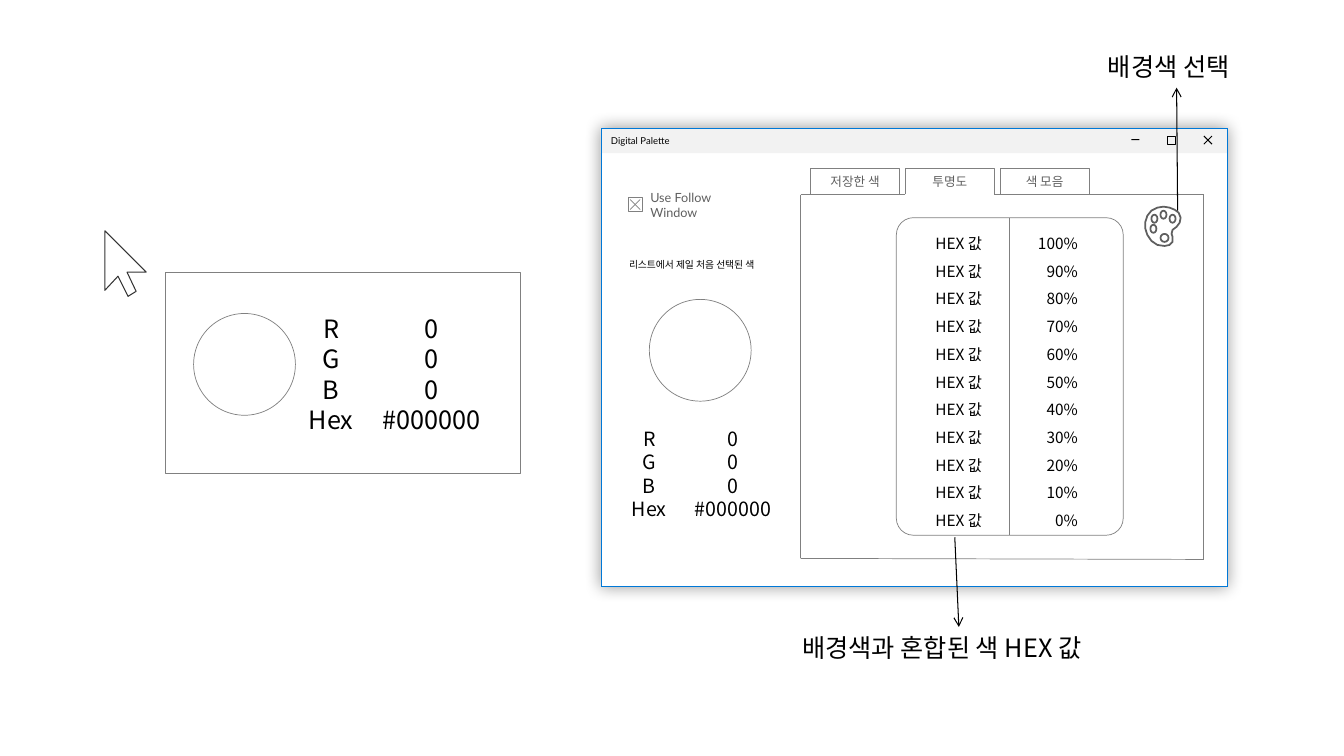
"""Build the Digital Palette wireframe slide with its follow window and main window."""
from lxml import etree
from pptx import Presentation
from pptx.dml.color import RGBColor
from pptx.enum.shapes import MSO_CONNECTOR, MSO_SHAPE as SHAPE
from pptx.enum.text import MSO_ANCHOR as ANCHOR, PP_ALIGN as ALIGN
from pptx.oxml import parse_xml
from pptx.oxml.ns import qn
from pptx.util import Inches, Pt

NOTO, LATO = "Noto Sans CJK KR", "Lato"
BLACK, WHITE, GRAY, DARK, BLUE = "000000", "FFFFFF", "808080", "5F5F5F", "0078D7"
SHADOW = (
    '<a:effectLst xmlns:a="http://schemas.openxmlformats.org/drawingml/2006/main">'
    '<a:outerShdw blurRad="152400" dist="0" dir="0" algn="ctr" rotWithShape="0">'
    '<a:srgbClr val="000000"><a:alpha val="40000"/></a:srgbClr>'
    '</a:outerShdw></a:effectLst>'
)

prs = Presentation()
prs.slide_width, prs.slide_height = Inches(13.33), Inches(7.5)
slide = prs.slides.add_slide(prs.slide_layouts[6])
shapes = slide.shapes


def paint(shape, fill=None, line=GRAY, width=0.5):
    """Give a shape its fill and outline, without a shadow."""
    shape.shadow.inherit = False
    for part, color in ((shape.fill, fill), (shape.line.fill, line)):
        if color:
            part.solid()
            part.fore_color.rgb = RGBColor.from_string(color)
        else:
            part.background()
    if line:
        shape.line.width = Pt(width)
    return shape


def write(shape, lines, size, font=NOTO, color=BLACK, align=ALIGN.LEFT,
          anchor=ANCHOR.TOP, inset=(0.1, 0.05), spacing=1.2):
    """Fill a shape with one paragraph per line."""
    frame = shape.text_frame
    across, down = map(Inches, inset)
    frame_format = {"word_wrap": True, "vertical_anchor": anchor,
                    "margin_left": across, "margin_right": across,
                    "margin_top": down, "margin_bottom": down}
    for name, value in frame_format.items():
        setattr(frame, name, value)
    for index, text in enumerate(lines):
        paragraph = frame.paragraphs[0] if index == 0 else frame.add_paragraph()
        paragraph.alignment = align
        paragraph.line_spacing = Pt(size * spacing)
        paragraph.text = text
        for run in paragraph.runs:
            for name, value in {"size": Pt(size), "name": font}.items():
                setattr(run.font, name, value)
            run.font.color.rgb = RGBColor.from_string(color)
            east_asian = etree.SubElement(run.font._element, qn("a:ea"))
            east_asian.set("typeface", NOTO)


# window frame and title bar
window_box = [Inches(v) for v in (5.96, 1.27, 6.21, 4.55)]
window = paint(shapes.add_shape(SHAPE.RECTANGLE, *window_box), WHITE, BLUE)
window._element.spPr.replace(window._element.spPr.find(qn("a:effectLst")), parse_xml(SHADOW))
title_bar = paint(shapes.add_shape(SHAPE.RECTANGLE, *window_box[:3], Inches(0.25)), "F2F2F2", None)
write(title_bar, ["Digital Palette"], 6.8, LATO, anchor=ANCHOR.MIDDLE)
minimize = [Inches(v) for v in (11.22, 1.38, 0.08, 0.01)]
paint(shapes.add_shape(SHAPE.RECTANGLE, *minimize), BLACK, None)
maximize = [Inches(v) for v in (11.58, 1.35, 0.08, 0.08)]
paint(shapes.add_shape(SHAPE.RECTANGLE, *maximize), None, BLACK, 0.75)
paint(shapes.add_shape(SHAPE.RECTANGLE, *window_box), None, BLUE)

check_box = [Inches(v) for v in (6.23, 1.96, 0.14, 0.14)]
paint(shapes.add_shape(SHAPE.RECTANGLE, *check_box), WHITE)
follow_label = shapes.add_textbox(Inches(6.37), Inches(1.92), Inches(1.26), Inches(0.23))
write(follow_label, ["Use Follow\vWindow"], 9, LATO, DARK, anchor=ANCHOR.MIDDLE, inset=(0.08, 0.04))

for left, top, side, color, width in ((6.25, 1.98, 0.1, GRAY, 0.5), (11.94, 1.35, 0.08, BLACK, 0.75)):
    x1, x2, y1, y2 = (Inches(v) for v in (left, left + side, top, top + side))
    cross = shapes.build_freeform(x1, y1, 1.0)
    cross.add_line_segments([(x2, y2)], close=False)
    cross.move_to(x2, y1)
    cross.add_line_segments([(x1, y2)], close=False)
    paint(cross.convert_to_shape(), None, color, width)

# follow window
pointer_points = [(Inches(x), Inches(y)) for x, y in (
    (1.35, 2.89), (1.26, 2.7), (1.45, 2.7), (1.04, 2.29), (1.04, 2.88), (1.17, 2.74), (1.27, 2.94))]
pointer = shapes.build_freeform(*pointer_points[0], 1.0)
pointer.add_line_segments(pointer_points[1:])
paint(pointer.convert_to_shape(), WHITE, "333333", 0.75)
follow_box = [Inches(v) for v in (1.64, 2.7, 3.52, 2)]
paint(shapes.add_shape(SHAPE.RECTANGLE, *follow_box), WHITE)

for left, top in ((1.92, 3.11), (6.44, 2.97)):
    swatch = [Inches(v) for v in (left, top, 1.01, 1.01)]
    paint(shapes.add_shape(SHAPE.OVAL, *swatch))

channels, values = ["R", "G", "B", "Hex"], ["0", "0", "0", "#000000"]
for left, top, width, lines, size in (
        (2.92, 3.19, 0.73, channels, 18), (3.68, 3.19, 1.2, values, 18),
        (6.14, 4.18, 0.6, channels, 14), (6.77, 4.18, 1, values, 14)):
    readout = shapes.add_textbox(*(Inches(v) for v in (left, top, width, 1.04)))
    write(readout, lines, size, align=ALIGN.CENTER, anchor=ANCHOR.MIDDLE)
    first = readout.text_frame.paragraphs[0]._p.get_or_add_pPr()
    first.set("indent", str(-Pt(size * 0.45)))

# tabs
for left, label in ((8.04, "저장한 색"), (8.98, "투명도"), (9.92, "색 모음")):
    x1, x2, y1, y2 = (Inches(v) for v in (left, left + 0.88, 1.67, 1.93))
    tab = shapes.build_freeform(x1, y2, 1.0)
    tab.add_line_segments([(x1, y1), (x2, y1), (x2, y2)], close=False)
    tab_shape = paint(tab.convert_to_shape(), WHITE)
    write(tab_shape, [label], 9, LATO, DARK, ALIGN.CENTER, ANCHOR.MIDDLE, (0.05, 0.05))

# palette button
palette_points = [(Inches(x), Inches(y)) for x, y in (
    (11.54, 2.05), (11.48, 2.06), (11.42, 2.09), (11.38, 2.14), (11.36, 2.2), (11.36, 2.27),
    (11.38, 2.33), (11.42, 2.39), (11.48, 2.43), (11.55, 2.44), (11.6, 2.43), (11.63, 2.4),
    (11.63, 2.35), (11.62, 2.32), (11.63, 2.28), (11.67, 2.25), (11.7, 2.21), (11.71, 2.16),
    (11.69, 2.11), (11.65, 2.08), (11.6, 2.06))]
palette = shapes.build_freeform(*palette_points[0], 1.0)
palette.add_line_segments(palette_points[1:])
paint(palette.convert_to_shape(), None, DARK, 1.25)
for x, y, across, down in ((11.54, 2.13, 0.06, 0.08), (11.45, 2.17, 0.06, 0.08),
                           (11.63, 2.17, 0.06, 0.08), (11.44, 2.27, 0.06, 0.08),
                           (11.55, 2.36, 0.08, 0.08)):
    well = [Inches(v) for v in (x - across / 2, y - down / 2, across, down)]
    paint(shapes.add_shape(SHAPE.OVAL, *well), None, DARK, 1.25)

# opacity list
opacity_box = [Inches(v) for v in (8.89, 2.16, 2.25, 3.15)]
opacity_list = paint(shapes.add_shape(SHAPE.ROUNDED_RECTANGLE, *opacity_box), WHITE)
opacity_list.adjustments[0] = 0.075
percents = [f"{percent}%" for percent in range(100, -1, -10)]
for left, lines in ((10.03, percents), (9.08, ["HEX 값"] * len(percents))):
    column = shapes.add_textbox(Inches(left), Inches(2.18), Inches(0.76), Inches(3.16))
    write(column, lines, 11, align=ALIGN.RIGHT, spacing=1.8)

# panel edges, list divider and callout arrows
for x1, y1, x2, y2, role in (
        (7.94, 1.93, 8.98, 1.93, "edge"), (9.86, 1.93, 11.94, 1.93, "edge"),
        (7.94, 1.93, 7.94, 5.54, "edge"), (11.94, 1.93, 11.94, 5.55, "edge"),
        (11.94, 5.55, 7.94, 5.54, "edge"), (10.01, 2.16, 10.01, 5.31, "divider"),
        (11.68, 2.09, 11.67, 0.87, "arrow"), (9.47, 5.33, 9.51, 6.22, "arrow")):
    ends = [Inches(v) for v in (x1, y1, x2, y2)]
    rule = shapes.add_connector(MSO_CONNECTOR.STRAIGHT, *ends)
    rule.line.color.rgb = RGBColor.from_string(BLACK if role == "arrow" else GRAY)
    rule.line.width = Pt(0.75 if role == "arrow" else 0.5)
    etree.SubElement(rule._element.spPr, qn("a:effectLst"))
    if role == "arrow":
        etree.SubElement(rule.line._get_or_add_ln(), qn("a:tailEnd")).set("type", "arrow")
    if role == "divider":
        rule.begin_connect(opacity_list, 0)
        rule.end_connect(opacity_list, 2)

# captions
for left, top, width, height, caption, size in (
        (6.14, 2.52, 1.62, 0.22, "리스트에서 제일 처음 선택된 색", 7),
        (10.89, 0.46, 1.55, 0.4, "배경색 선택", 18),
        (7.86, 6.22, 3.3, 0.4, "배경색과 혼합된 색 HEX 값", 18)):
    note = shapes.add_textbox(*(Inches(v) for v in (left, top, width, height)))
    write(note, [caption], size)

prs.save("out.pptx")
